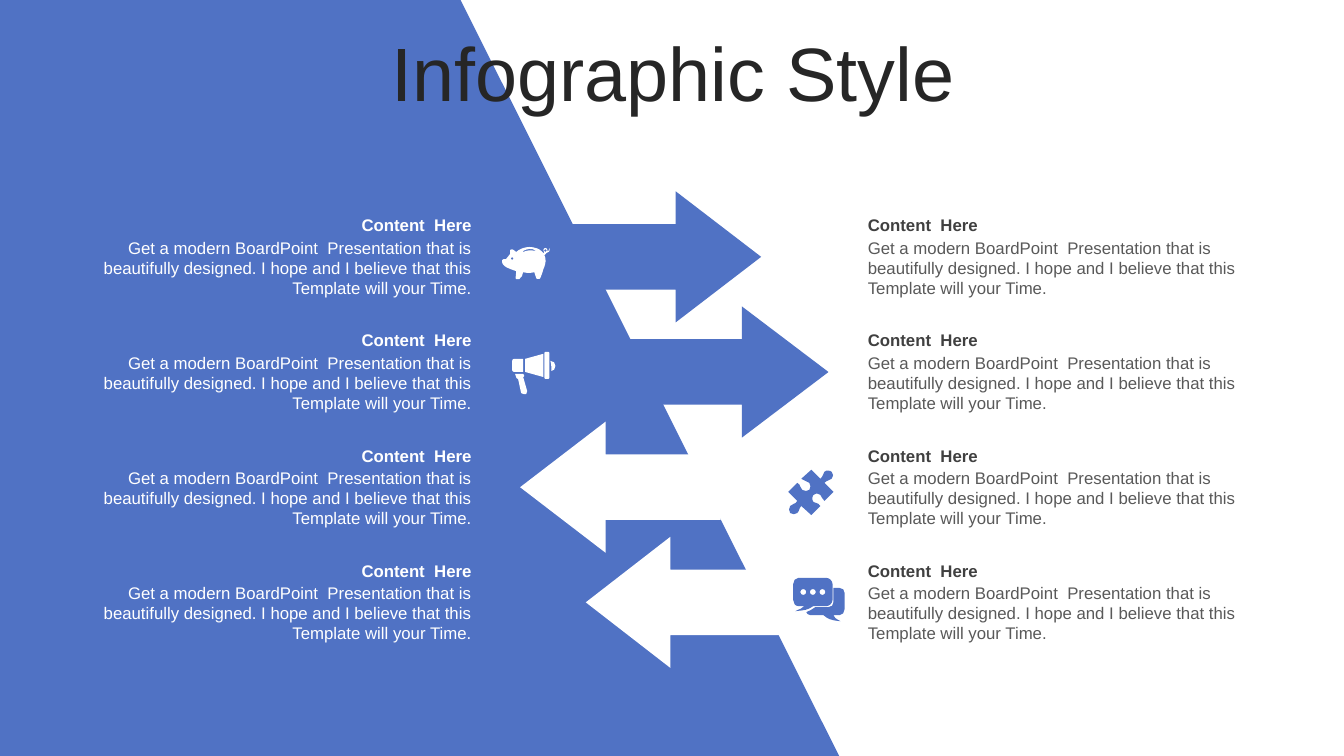
from dataclasses import dataclass

from pptx import Presentation
from pptx.dml.color import RGBColor
from pptx.enum.shapes import MSO_SHAPE as Shape
from pptx.enum.text import MSO_ANCHOR as Anchor, MSO_AUTO_SIZE as AutoSize, PP_ALIGN as Align
from pptx.oxml.ns import qn
from pptx.util import Pt


@dataclass(frozen=True)
class Theme:
    font: str = "Arial"
    blue: str = "5072C4"
    white: str = "FFFFFF"
    title: str = "262626"
    heading: str = "404040"
    body: str = "595959"
    title_size: int = 54
    text_size: int = 12


THEME = Theme()


def ring(cx, cy, r):
    """Outline of a circle in icon path notation."""
    k = 0.55 * r
    return (f"M {cx},{cy - r} C {cx + k},{cy - r} {cx + r},{cy - k} {cx + r},{cy} "
            f"C {cx + r},{cy + k} {cx + k},{cy + r} {cx},{cy + r} "
            f"C {cx - k},{cy + r} {cx - r},{cy + k} {cx - r},{cy} "
            f"C {cx - r},{cy - k} {cx - k},{cy - r} {cx},{cy - r} Z ")


# Content
TITLE = "Infographic Style"
HEADING = "Content  Here"
BODY = ("Get a modern BoardPoint  Presentation that is beautifully designed. "
        "I hope and I believe that this Template will your Time.")

PIG = ring(10, 11.5, 1.5) + ring(43, 3.5, 1.5) + """
M 27,2 C 25,2 23,3 21,4 L 21,5 C 25,3 29,3 33,4 L 34,4 C 32,2 29,2 27,2 Z
M 27,0 C 32,0 38,2 40,5 L 41,6 C 42,6 42,6 42,6 C 41,5 41,5 41,3 C 41,2 42,1 43,1
C 44,1 45,2 45,3 C 45,4 45,4 45,4 C 46,4 46,5 47,1 C 48,4 46,6 44,6 C 43,7 43,8 42,8
L 43,11 C 44,15 42,20 41,22 C 40,26 39,28 38,31 C 38,32 34,32 34,31 C 33,29 33,27 32,25
C 29,26 24,26 21,25 C 21,28 19,30 17,32 L 14,32 C 13,32 14,27 14,24 C 9,22 -1,20 0,13
C 0,12 3,12 4,12 C 6,10 6,9 8,7 C 8,6 8,3 8,3 C 11,1 12,4 14,5 C 17,2 23,0 27,0 Z"""

MEGAPHONE = """
M 11,22 L 12,23 C 12,24 12,25 11,25 L 15,39 C 15,40 15,41 14,42 L 12,42
C 11,42 10,42 9,41 L 6,27 C 5,27 4,26 4,25 L 3,22 Z
M 38,9 C 41,9 43,11 43,14 C 43,17 41,19 39,19 C 39,16 39,12 38,9 Z
M 2,7 L 11,7 L 11,20 L 2,20 C 1,20 0,19 0,18 L 0,9 C 0,8 1,7 2,7 Z
M 31,2 L 31,25 L 13,20 L 13,7 Z
M 33,0 L 36,0 C 37,0 37,1 37,1 L 37,26 C 37,26 37,27 36,27 L 33,27
C 33,27 32,26 32,26 L 32,1 C 32,1 33,0 33,0 Z"""

PUZZLE = """
M 43,2 C 45,4 45,6 43,9 C 41,11 39,10 36,13 L 45,22 L 36,31 C 33,29 34,27 32,25
C 30,23 27,23 25,25 C 24,26 23,29 25,32 C 28,34 29,32 32,36 L 23,45 L 13,36
C 10,39 12,40 9,43 C 7,45 4,44 2,43 C 1,41 0,38 2,36 C 4,33 7,35 9,31 L 0,22 L 9,13
C 13,15 11,18 14,20 C 16,22 19,21 21,20 C 22,18 23,15 21,13 C 17,10 17,12 13,9
L 23,0 L 32,9 C 35,6 34,5 36,2 C 38,0 42,1 43,2 Z"""

CHAT = ring(10, 14, 3) + ring(19.5, 14, 3) + ring(29, 14, 3) + """
M 40,10 L 46,10 C 49,10 51,12 51,15 L 51,31 C 51,34 49,37 46,37 L 40,37
C 41,39 41,40 47,43 C 37,42 35,41 30,37 L 17,37 C 15,37 13,35 13,34
C 16,33 19,31 22,29 L 35,29 C 38,29 40,27 40,24 Z
M 5,0 L 33,0 C 36,0 39,3 39,6 L 39,22 C 39,25 36,28 33,28 L 20,28 C 14,32 12,32 2,33
C 8,30 8,31 11,28 L 5,28 C 2,28 0,25 0,22 L 0,6 C 0,3 2,0 5,0 Z"""

BLUE_PANEL = "M 329,0 L 599.4,540 L 0,540 L 0,0 Z"

# Arrow left, head ratio, turned left?, arrow colour, icon, icon colour, icon left and top
ROWS = [
    (400.4, 0.652, False, THEME.blue, PIG, THEME.white, 358.6, 176.4),
    (448.5, 0.66, False, THEME.blue, MEGAPHONE, THEME.white, 365.8, 251.3),
    (371.5, 0.652, True, THEME.white, PUZZLE, THEME.blue, 563, 335.5),
    (418.4, 0.645, True, THEME.white, CHAT, THEME.blue, 566.6, 412.8),
]
# Left, width, alignment, heading colour, body colour
COLUMNS = [
    (59, 285, Align.RIGHT, THEME.white, THEME.white),
    (612.8, 281.5, Align.LEFT, THEME.heading, THEME.body),
]

# Layout
SLIDE_W, SLIDE_H = 960, 540
ARROW_TOP, HEADING_TOP, BODY_TOP, ROW_PITCH = 136.7, 149.8, 166, 82.25
ARROW_W, ARROW_H, HEADING_H, BODY_H = 143.3, 93.6, 21.8, 51
ICON_UNIT = 0.72


def paint(shape, color):
    shape.shadow.inherit = False
    shape.fill.solid()
    shape.fill.fore_color.rgb = RGBColor.from_string(color)
    shape.line.fill.background()


def bend(shape, commands):
    """Join every three line ends that belong to a C command into one Bézier curve."""
    line_ends = iter(list(shape.element.iter(qn("a:lnTo"))))
    for command in commands:
        first = next(line_ends)
        if command == "C":
            curve = first.makeelement(qn("a:cubicBezTo"))
            first.addprevious(curve)
            for end in (first, next(line_ends), next(line_ends)):
                curve.append(end[0])
                end.getparent().remove(end)


def add_outline(slide, outline, color, left=0, top=0, unit=1):
    builder, commands = None, []
    for contour in outline.split("Z")[:-1]:
        tokens = contour.split()
        commands += [token for token in tokens if token in ("L", "C")]
        pairs = [token.split(",") for token in tokens if "," in token]
        start, *rest = [(Pt(left + float(x) * unit), Pt(top + float(y) * unit)) for x, y in pairs]
        if builder:
            builder.move_to(*start)
        else:
            builder = slide.shapes.build_freeform(*start)
        builder.add_line_segments(rest, close=True)
    shape = builder.convert_to_shape()
    bend(shape, commands)
    paint(shape, color)


def add_text(slide, box, text, size, color, align, anchor, bold=False):
    frame = slide.shapes.add_textbox(*(Pt(n) for n in box)).text_frame
    frame.word_wrap = True
    frame.vertical_anchor = anchor
    frame.text = text
    paragraph = frame.paragraphs[0]
    paragraph.alignment = align
    font = paragraph.runs[0].font
    font.name, font.size, font.bold = THEME.font, Pt(size), bold
    font.color.rgb = RGBColor.from_string(color)
    return frame


def main():
    deck = Presentation()
    deck.slide_width, deck.slide_height = Pt(SLIDE_W), Pt(SLIDE_H)
    slide = deck.slides.add_slide(deck.slide_layouts[6])

    add_outline(slide, BLUE_PANEL, THEME.blue)
    for row, (left, head, turned, color, icon, icon_color, icon_x, icon_y) in enumerate(ROWS):
        offset = row * ROW_PITCH
        arrow = slide.shapes.add_shape(Shape.RIGHT_ARROW, Pt(left), Pt(ARROW_TOP + offset),
                                       Pt(ARROW_W), Pt(ARROW_H))
        arrow.adjustments[1] = head
        arrow.rotation = 180 if turned else 0
        paint(arrow, color)
        add_outline(slide, icon, icon_color, icon_x, icon_y, ICON_UNIT)

        for x, width, align, heading_color, body_color in COLUMNS:
            heading = add_text(slide, (x, HEADING_TOP + offset, width, HEADING_H), HEADING,
                               THEME.text_size, heading_color, align, Anchor.MIDDLE, bold=True)
            body = add_text(slide, (x, BODY_TOP + offset, width, BODY_H), BODY,
                            THEME.text_size, body_color, align, Anchor.TOP)
            heading.auto_size = body.auto_size = AutoSize.SHAPE_TO_FIT_TEXT

    title = add_text(slide, (25.2, 26.6, 911.5, 56.9), TITLE, THEME.title_size,
                     THEME.title, Align.CENTER, Anchor.MIDDLE).paragraphs[0]
    title.line_spacing = 0.9
    title.space_before = Pt(10)
    deck.save("out.pptx")


if __name__ == "__main__":
    main()
